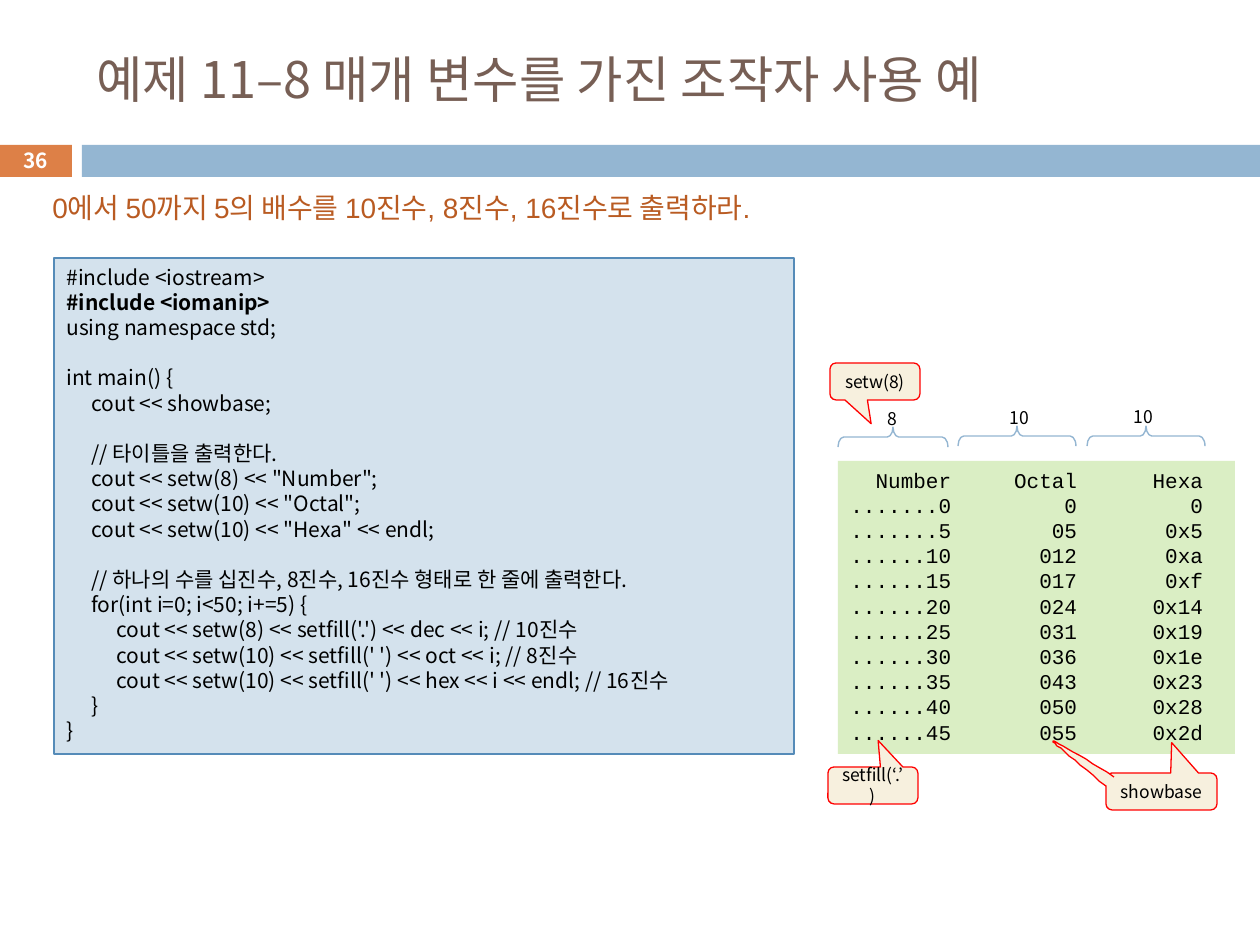
from lxml import etree
from pptx import Presentation
from pptx.dml.color import RGBColor
from pptx.enum.shapes import MSO_SHAPE
from pptx.enum.text import MSO_ANCHOR, PP_ALIGN
from pptx.oxml.ns import qn
from pptx.util import Pt

PX = 914400 / 126
SANS = "Noto Sans CJK KR"
MONO = "Courier New"
RECT = MSO_SHAPE.RECTANGLE
CALL = MSO_SHAPE.ROUNDED_RECTANGULAR_CALLOUT
BRACE = MSO_SHAPE.RIGHT_BRACE
TOP, MID = MSO_ANCHOR.TOP, MSO_ANCHOR.MIDDLE
LEFT, MIDST = PP_ALIGN.LEFT, PP_ALIGN.CENTER
TAB = 25
STRONG = "#include <iomanip>"

CODE = """#include <iostream>
#include <iomanip>
using namespace std;

int main() {
\tcout << showbase;
\t
\t// 타이틀을 출력한다.
\tcout << setw(8) << "Number";
\tcout << setw(10) << "Octal";
\tcout << setw(10) << "Hexa" << endl;

\t// 하나의 수를 십진수, 8진수, 16진수 형태로 한 줄에 출력한다.
\tfor(int i=0; i<50; i+=5) {
\t\tcout << setw(8) << setfill('.') << dec << i; // 10진수
\t\tcout << setw(10) << setfill(' ') << oct << i; // 8진수
\t\tcout << setw(10) << setfill(' ') << hex << i << endl; // 16진수
\t}
}"""


def emu(n):
    return round(n * PX)


def tint(code):
    return RGBColor.from_string(code)


def paint(shape, fill=None, line=None, width=0.75):
    shape.shadow.inherit = False
    if fill:
        shape.fill.solid()
        shape.fill.fore_color.rgb = tint(fill)
    else:
        shape.fill.background()
    if line:
        shape.line.color.rgb = tint(line)
        shape.line.width = Pt(width)
    else:
        shape.line.fill.background()


def add_tabs(para):
    tabs = etree.SubElement(para._p.get_or_add_pPr(), qn("a:tabLst"))
    for step in (1, 2):
        etree.SubElement(tabs, qn("a:tab"), pos=str(emu(step * TAB)), algn="l")


def write(shape, text, size, face=SANS, color="000000", bold=(), align=LEFT,
          anchor=TOP, wrap=True, lead=1.2):
    frame = shape.text_frame
    for key, val in {"word_wrap": wrap, "vertical_anchor": anchor}.items():
        setattr(frame, key, val)
    for num, line in enumerate(text.split("\n")):
        para = frame.paragraphs[0] if num == 0 else frame.add_paragraph()
        style = {"alignment": align, "line_spacing": Pt(size * lead)}
        for key, val in style.items():
            setattr(para, key, val)
        if "\t" in line:
            add_tabs(para)
        if not line:
            continue
        run = para.add_run()
        run.text = line
        form = {"name": face, "size": Pt(size), "bold": line in bold}
        for key, val in form.items():
            setattr(run.font, key, val)
        run.font.color.rgb = tint(color)
        etree.SubElement(run._r.get_or_add_rPr(), qn("a:ea"), typeface=SANS)


def add_form(slide, kind, box, fill=None, line=None, width=0.75):
    shape = slide.shapes.add_shape(kind, *map(emu, box))
    paint(shape, fill, line, width)
    return shape


def add_label(slide, box, text, size, **style):
    write(slide.shapes.add_textbox(*map(emu, box)), text, size, **style)


def add_call(slide, box, tip, text):
    shape = add_form(slide, CALL, box, "F7F0DE", "FF0000")
    for num, val in enumerate((*tip, 0.167)):
        shape.adjustments[num] = val
    write(shape, text, 10, align=MIDST, anchor=MID)


def add_brace(slide, left, right, mid):
    span, deep = right - left, 20
    box = ((left + right - deep) / 2, mid - span / 2, deep, span)
    shape = add_form(slide, BRACE, box, line="94B6D2", width=0.79)
    shape.rotation = 270
    shape.adjustments[0] = 0.289


def bend(a, b, c, d, steps=12):
    for num in range(1, steps + 1):
        t = num / steps
        u = 1 - t
        yield tuple(u**3 * p + 3 * u * u * t * q + 3 * u * t * t * r + t**3 * s
                    for p, q, r, s in zip(a, b, c, d))


def add_tail(slide):
    base, tip, end = (1114, 777), (1053, 741), (1106, 786)
    dots = [*bend(base, (1085, 759), (1055, 740), tip),
            *bend(tip, (1052, 742), (1080, 765), end)]
    path = slide.shapes.build_freeform(*base, scale=PX)
    path.add_line_segments(dots, close=False)
    paint(path.convert_to_shape(), "F7F0DE", "FF0000")


def make_rows():
    rows = [f"{'Number':>8}{'Octal':>10}{'Hexa':>10}"]
    for num in range(0, 50, 5):
        octal, hexa = (f"0{num:o}", f"{num:#x}") if num else ("0", "0")
        rows.append(f"{num:.>8}{octal:>10}{hexa:>10}")
    return "\n".join(rows)


def main():
    deck = Presentation()
    deck.slide_width, deck.slide_height = emu(1260), emu(945)
    slide = deck.slides.add_slide(deck.slide_layouts[6])

    add_form(slide, RECT, (-1, 145, 73, 32), "DD8047")
    add_form(slide, RECT, (82, 145, 1178, 32), "94B6D2")
    add_label(slide, (84, 32, 1124, 93), "예제 11–8 매개 변수를 가진 조작자 사용 예",
              28.8, color="775F55", anchor=MID)
    add_label(slide, (-1, 143, 73, 34), "36", 11.9, color="FFFFFF",
              bold=("36",), align=MIDST, anchor=MID)

    code = add_form(slide, RECT, (54, 258, 740, 496), "D4E2ED", "558BB8")
    write(code, CODE, 12, bold=(STRONG,))
    rows = add_form(slide, RECT, (838, 461, 397, 293), "DAEEC4")
    write(rows, make_rows(), 12, face=MONO)

    add_call(slide, (1106, 773, 111, 37), (0.092, -1.321), "showbase")
    add_tail(slide)
    add_call(slide, (830, 363, 90, 37), (-0.042, 1.141), "setw(8)")
    add_call(slide, (828, 767, 90, 37), (0.058, -1.217), "setfill(‘.’)")
    for left, right, mid in ((838, 948, 437), (958, 1076, 436), (1087, 1205, 436)):
        add_brace(slide, left, right, mid)
    for box, text in (((875, 402, 35, 34), "8"), ((997, 401, 45, 34), "10"),
                      ((1121, 400, 45, 34), "10")):
        add_label(slide, box, text, 10, wrap=False)

    add_label(slide, (40, 186, 793, 47),
              "0에서 50까지 5의 배수를 10진수, 8진수, 16진수로 출력하라.",
              16, face="Arial", color="B95B22", lead=1.15)
    deck.save("out.pptx")


if __name__ == "__main__":
    main()
